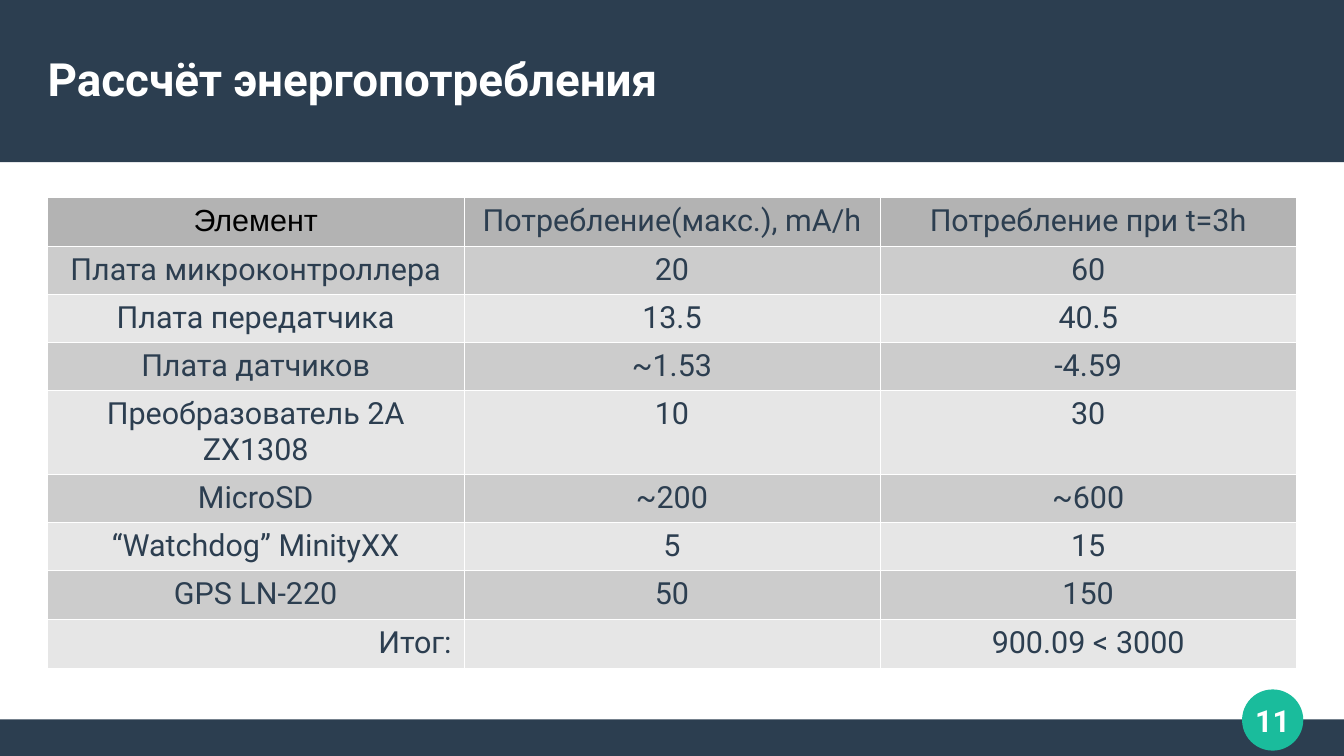
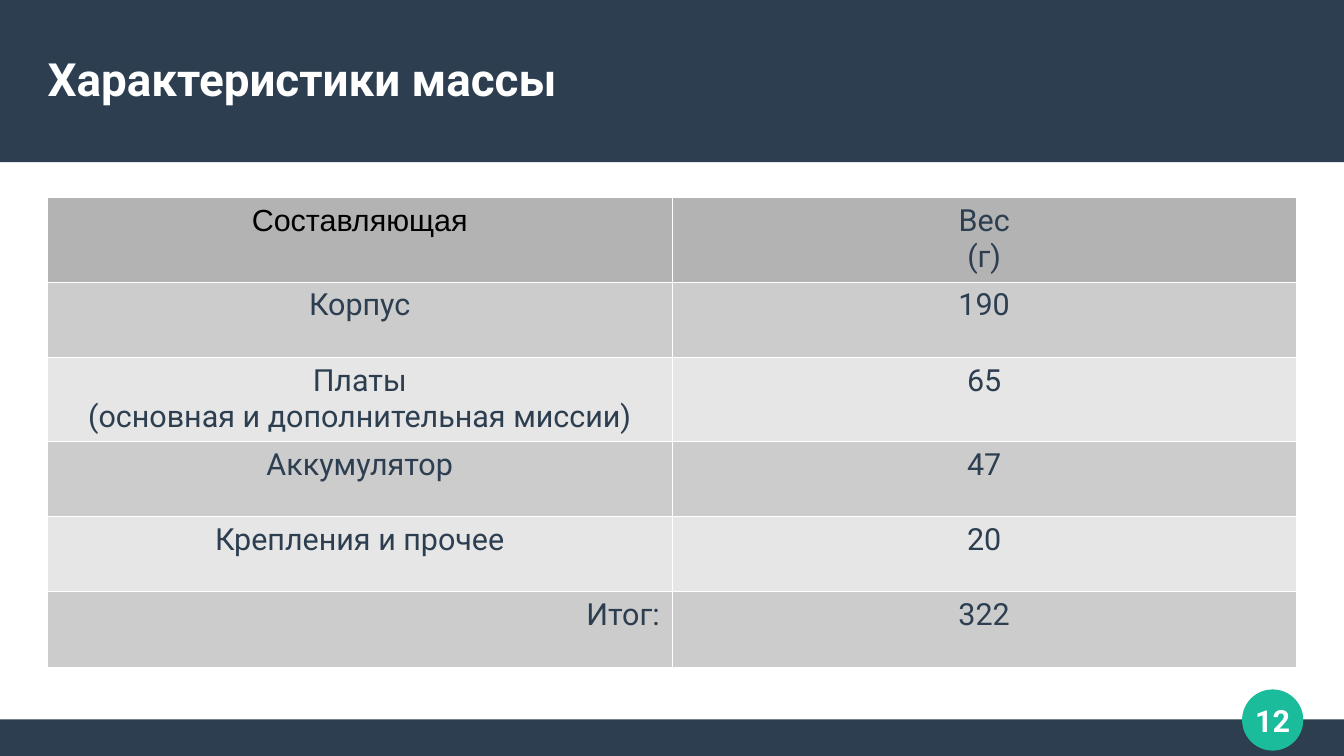
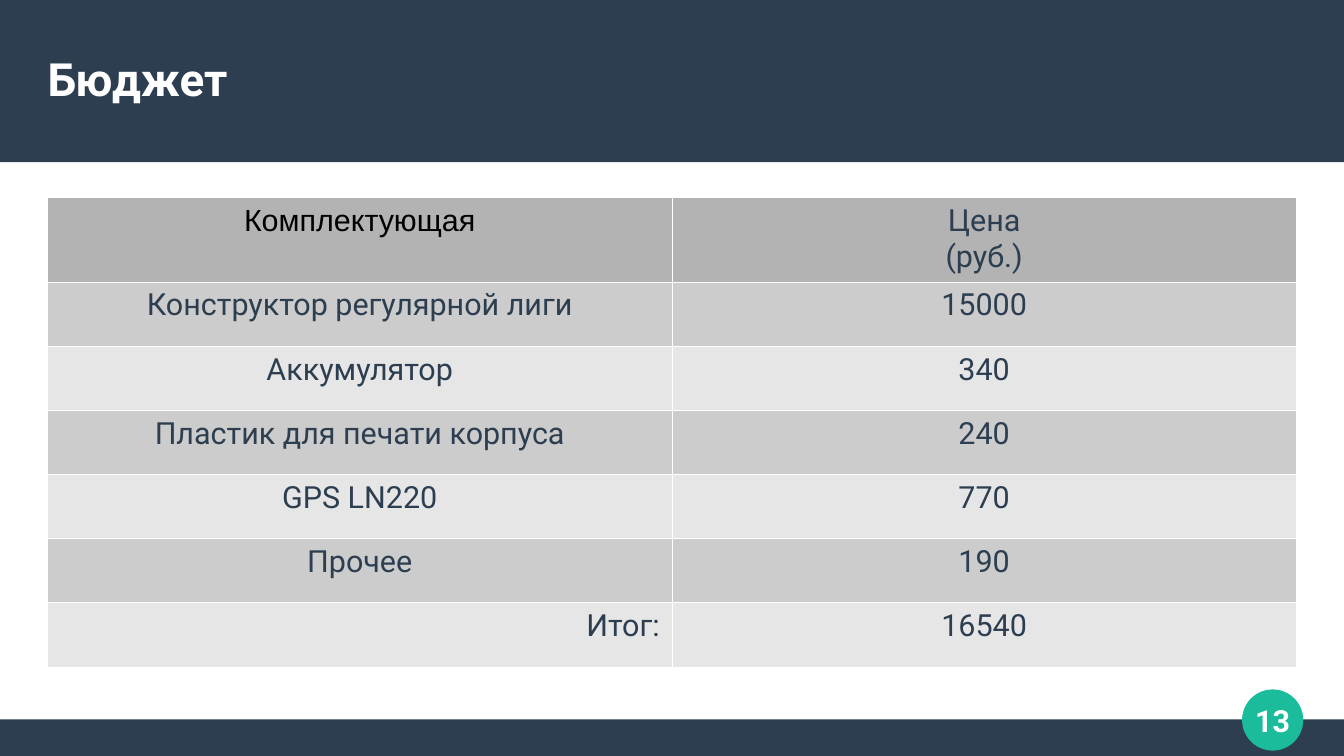
from dataclasses import dataclass

from lxml.etree import SubElement
from pptx import Presentation
from pptx.dml.color import RGBColor
from pptx.enum.shapes import MSO_SHAPE
from pptx.enum.text import MSO_ANCHOR, MSO_AUTO_SIZE, PP_ALIGN
from pptx.oxml.ns import qn
from pptx.util import Inches, Pt


@dataclass(frozen=True)
class Theme:
    navy: str = "2C3E50"
    teal: str = "1ABC9C"
    white: str = "FFFFFF"
    black: str = "000000"
    header_fill: str = "B3B3B3"
    row_fills: tuple = ("CCCCCC", "E6E6E6")
    font: str = "Roboto"
    corner_font: str = "Arial"
    title_size: float = 27
    body_size: float = 18
    border_width: float = 0.06


THEME = Theme()

# Slide grid, in inches
SLIDE_WIDTH, SLIDE_HEIGHT = 11.02, 6.2
MARGIN = 0.39
CONTENT_WIDTH = SLIDE_WIDTH - 2 * MARGIN
TITLE_BAND_HEIGHT = 1.33
FOOTER_HEIGHT = 0.3
BADGE_SIZE = 0.49
BADGE_LEFT, BADGE_TOP = 10.19, 5.66
TABLE_TOP = 1.62
TABLE_HEIGHT = BADGE_TOP - 0.19 - TABLE_TOP
TWO_LINE_HEIGHT = 0.69

FIRST_PAGE = 11
# Title, indexes of the rows that hold two lines, rows
TABLE_SLIDES = [
    ("Рассчёт энергопотребления", {4}, [
        ("Элемент", "Потребление(макс.), mA/h", "Потребление при t=3h"),
        ("Плата микроконтроллера", "20", "60"),
        ("Плата передатчика", "13.5", "40.5"),
        ("Плата датчиков", "~1.53", "-4.59"),
        ("Преобразователь 2A ZX1308", "10", "30"),
        ("MicroSD", "~200", "~600"),
        ("“Watchdog” MinityXX", "5", "15"),
        ("GPS LN-220", "50", "150"),
        ("Итог:", "", "900.09 < 3000"),
    ]),
    ("Характеристики массы", {0, 2}, [
        ("Составляющая", "Вес\n(г)"),
        ("Корпус", "190"),
        ("Платы\n(основная и дополнительная миссии)", "65"),
        ("Аккумулятор", "47"),
        ("Крепления и прочее", "20"),
        ("Итог:", "322"),
    ]),
    ("Бюджет", {0}, [
        ("Комплектующая", "Цена\n(руб.)"),
        ("Конструктор регулярной лиги", "15000"),
        ("Аккумулятор", "340"),
        ("Пластик для печати корпуса", "240"),
        ("GPS LN220", "770"),
        ("Прочее", "190"),
        ("Итог:", "16540"),
    ]),
]


def color(value):
    return RGBColor.from_string(value)


def format_text(text_frame, size, text_color, align, bold=False, font=THEME.font):
    for paragraph in text_frame.paragraphs:
        paragraph.alignment = align
        for run in paragraph.runs:
            run.font.name = font
            run.font.size = Pt(size)
            run.font.bold = bold
            run.font.color.rgb = color(text_color)


def center_without_insets(text_frame):
    text_frame.margin_left = text_frame.margin_right = 0
    text_frame.margin_top = text_frame.margin_bottom = 0
    text_frame.vertical_anchor = MSO_ANCHOR.MIDDLE
    text_frame.auto_size = MSO_AUTO_SIZE.NONE
    text_frame.word_wrap = True


def add_filled_shape(slide, kind, left, top, width, height, fill):
    shape = slide.shapes.add_shape(
        kind, Inches(left), Inches(top), Inches(width), Inches(height))
    shape.shadow.inherit = False
    shape.fill.solid()
    shape.fill.fore_color.rgb = color(fill)
    shape.line.color.rgb = color(fill)
    shape.line.width = Pt(0.85)
    return shape


def decorate_layout(layout, slide):
    """Draw the bands and the badge on a slide, then move them to its layout."""
    for placeholder in list(layout.placeholders):
        if placeholder.placeholder_format.idx != 0:
            placeholder.element.getparent().remove(placeholder.element)
    footer = add_filled_shape(slide, MSO_SHAPE.RECTANGLE, 0, SLIDE_HEIGHT - FOOTER_HEIGHT,
                              SLIDE_WIDTH, FOOTER_HEIGHT, THEME.navy)
    title_band = add_filled_shape(slide, MSO_SHAPE.RECTANGLE, 0, 0,
                                  SLIDE_WIDTH, TITLE_BAND_HEIGHT, THEME.navy)
    for band in (footer, title_band):
        band.line.fill.background()
    badge = add_filled_shape(slide, MSO_SHAPE.OVAL, BADGE_LEFT, BADGE_TOP,
                             BADGE_SIZE, BADGE_SIZE, THEME.teal)
    layout_title = layout.placeholders[0].element
    for shape in (footer, title_band, badge):
        layout_title.addprevious(shape.element)


def set_title(slide, text):
    title = slide.shapes.title
    title.left, title.top = Inches(MARGIN), Inches(0.25)
    title.width, title.height = Inches(CONTENT_WIDTH), Inches(0.79)
    title.text_frame.text = text
    center_without_insets(title.text_frame)
    format_text(title.text_frame, THEME.title_size, THEME.white, PP_ALIGN.LEFT, bold=True)


def add_page_number(slide, number):
    box = slide.shapes.add_textbox(
        Inches(BADGE_LEFT - 0.15), Inches(BADGE_TOP - 0.05),
        Inches(BADGE_SIZE + 0.3), Inches(BADGE_SIZE + 0.1))
    box.text_frame.text = str(number)
    center_without_insets(box.text_frame)
    format_text(box.text_frame, THEME.body_size, THEME.white, PP_ALIGN.CENTER, bold=True)


def set_cell_borders(cell):
    properties = cell._tc.get_or_add_tcPr()
    for side in ("a:lnL", "a:lnR", "a:lnT", "a:lnB"):
        line = SubElement(properties, qn(side), w=str(Pt(THEME.border_width)))
        fill = SubElement(line, qn("a:solidFill"))
        SubElement(fill, qn("a:srgbClr"), val=THEME.white)


def fill_cell(cell, text, row, column, is_total):
    set_cell_borders(cell)
    cell.fill.solid()
    fill = THEME.row_fills[(row - 1) % 2] if row else THEME.header_fill
    cell.fill.fore_color.rgb = color(fill)
    cell.text_frame.text = text
    is_corner = row == 0 and column == 0
    format_text(
        cell.text_frame, THEME.body_size,
        THEME.black if is_corner else THEME.navy,
        PP_ALIGN.RIGHT if is_total and column == 0 else PP_ALIGN.CENTER,
        font=THEME.corner_font if is_corner else THEME.font)


def add_data_table(slide, rows, two_line_rows):
    column_count = len(rows[0])
    table = slide.shapes.add_table(
        len(rows), column_count, Inches(MARGIN), Inches(TABLE_TOP),
        Inches(CONTENT_WIDTH), Inches(TABLE_HEIGHT)).table
    table.first_row = table.horz_banding = False
    for column in table.columns:
        column.width = Inches(CONTENT_WIDTH / column_count)

    # One-line rows share the height that the two-line rows leave
    free_height = TABLE_HEIGHT - TWO_LINE_HEIGHT * len(two_line_rows)
    one_line_height = free_height / (len(rows) - len(two_line_rows))
    for row, texts in enumerate(rows):
        height = TWO_LINE_HEIGHT if row in two_line_rows else one_line_height
        table.rows[row].height = Inches(height)
        for column, text in enumerate(texts):
            fill_cell(table.cell(row, column), text, row, column,
                      is_total=row == len(rows) - 1)


def main():
    presentation = Presentation()
    presentation.slide_width = Inches(SLIDE_WIDTH)
    presentation.slide_height = Inches(SLIDE_HEIGHT)
    layout = presentation.slide_layouts.get_by_name("Title Only")

    for index, (title, two_line_rows, rows) in enumerate(TABLE_SLIDES):
        slide = presentation.slides.add_slide(layout)
        if index == 0:
            decorate_layout(layout, slide)
        set_title(slide, title)
        add_data_table(slide, rows, two_line_rows)
        add_page_number(slide, FIRST_PAGE + index)

    presentation.save("out.pptx")


if __name__ == "__main__":
    main()
